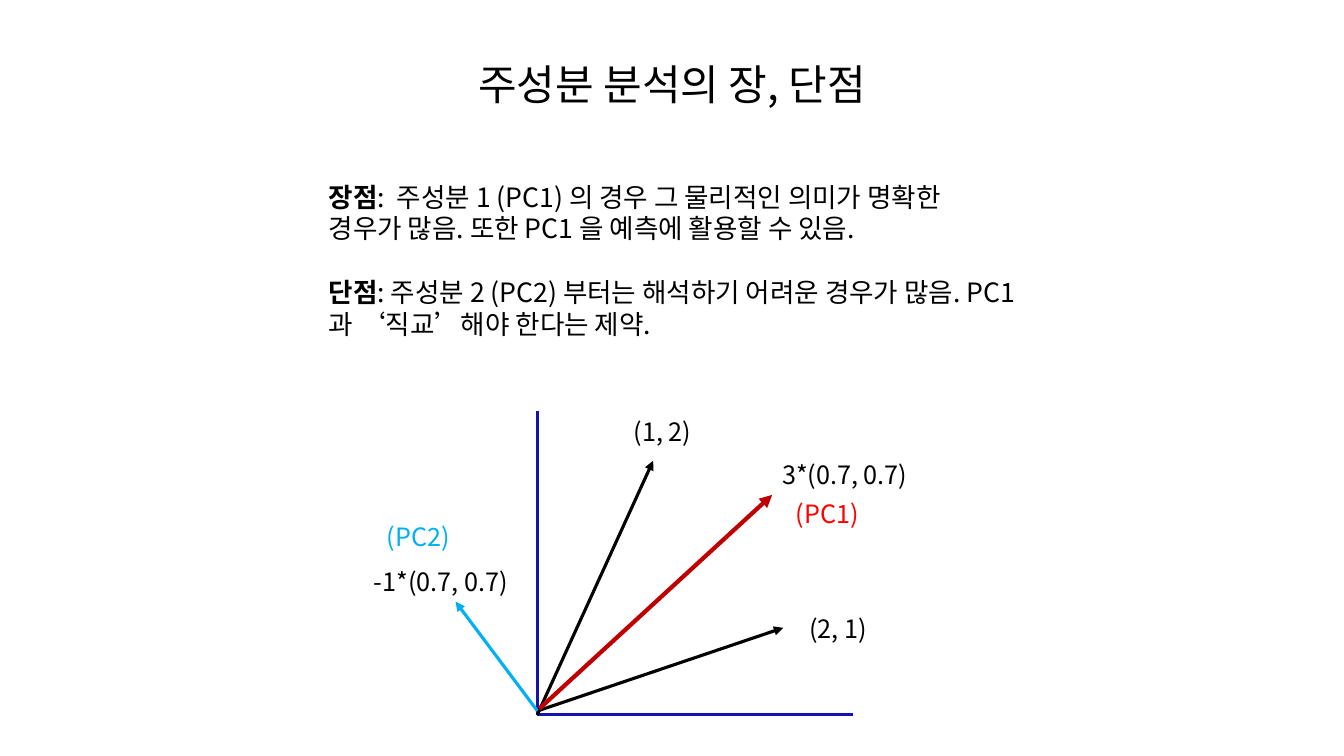
from lxml import etree
from pptx import Presentation
from pptx.dml.color import RGBColor
from pptx.enum.shapes import MSO_CONNECTOR
from pptx.enum.text import MSO_ANCHOR, MSO_AUTO_SIZE, PP_ALIGN
from pptx.oxml.ns import qn
from pptx.util import Cm, Pt

STRAIGHT = MSO_CONNECTOR.STRAIGHT
MIDDLE, TOP = MSO_ANCHOR.MIDDLE, MSO_ANCHOR.TOP
CENTER, LEFT = PP_ALIGN.CENTER, PP_ALIGN.LEFT
NO_FIT = MSO_AUTO_SIZE.NONE
FONT = "Noto Sans CJK KR"
BLACK, RED, DARK_RED, SKY, NAVY = "000000", "FF0000", "C00000", "00B0F0", "1313AD"


def color(value):
    return RGBColor.from_string(value)


def write(box, place, paragraphs, size, ink=BLACK, align=LEFT, anchor=TOP, gap=0):
    box.left, box.top, box.width, box.height = [Cm(length) for length in place]
    frame = box.text_frame
    frame_format = {"word_wrap": True, "auto_size": NO_FIT, "vertical_anchor": anchor}
    for name, value in frame_format.items():
        setattr(frame, name, value)
    for index, spans in enumerate(paragraphs):
        para = frame.add_paragraph() if index else frame.paragraphs[0]
        para_format = {
            "alignment": align,
            "line_spacing": Pt(size * 1.2),
            "space_before": Pt(gap if index else 0),
        }
        for name, value in para_format.items():
            setattr(para, name, value)
        for text, bold in spans:
            span = para.add_run()
            span.text = text
            span_format = {"name": FONT, "size": Pt(size), "bold": bold}
            for name, value in span_format.items():
                setattr(span.font, name, value)
            span.font.color.rgb = color(ink)
            east_asian = etree.SubElement(span.font._element, qn("a:ea"))
            east_asian.set("typeface", FONT)


deck = Presentation()
deck.slide_width, deck.slide_height = Cm(33.87), Cm(19.05)
page = deck.slides.add_slide(deck.slide_layouts[1])

title = page.shapes.title
write(title, (1.7, 0.76, 30.48, 2.7), [[("주성분 분석의 장, 단점", False)]],
      30, align=CENTER, anchor=MIDDLE)

points = [
    [("장점", True),
     (":  주성분 1 (PC1) 의 경우 그 물리적인 의미가 명확한 경우가 많음. "
      "또한 PC1 을 예측에 활용할 수 있음.", False)],
    [("단점", True),
     (": 주성분 2 (PC2) 부터는 해석하기 어려운 경우가 많음. "
      "PC1 과 ‘직교’해야 한다는 제약.", False)],
]
body = page.placeholders[1]
write(body, (8.03, 4.42, 17.83, 4.32), points, 19, gap=22.8)
for para in body.text_frame.paragraphs:
    properties = para._p.get_or_add_pPr()
    properties.set("marL", "0")
    properties.set("indent", "0")
    etree.SubElement(properties, qn("a:buNone"))

origin = (13.54, 18.01)
lines = [
    (origin, (13.54, 10.36), NAVY, 2.25, False),
    (origin, (21.49, 18.01), NAVY, 2.25, False),
    (origin, (16.46, 11.61), BLACK, 2.25, True),
    ((13.56, 17.91), (19.74, 15.82), BLACK, 2.25, True),
    ((13.59, 17.86), (19.46, 12.47), DARK_RED, 3, True),
    ((13.54, 17.91), (11.48, 15.16), SKY, 2.25, True),
]
for start, end, ink, weight, has_head in lines:
    line = page.shapes.add_connector(
        STRAIGHT, *[Cm(length) for length in start + end])
    line.line.color.rgb = color(ink)
    line.line.width = Pt(weight)
    if has_head:
        head = etree.SubElement(line.line._get_or_add_ln(), qn("a:tailEnd"))
        head.set("type", "triangle")
    etree.SubElement(line._element.spPr, qn("a:effectLst"))

labels = [
    ("(PC1)", 19.81, 12.42, 2.92, RED),
    ("(2, 1)", 20.14, 15.34, 2.11, BLACK),
    ("(1, 2)", 15.72, 10.36, 2.11, BLACK),
    ("3*(0.7, 0.7)", 19.46, 11.46, 4, BLACK),
    ("-1*(0.7, 0.7)", 9.17, 14.15, 4.2, BLACK),
    ("(PC2)", 9.5, 13, 2.21, SKY),
]
for text, left, top, width, ink in labels:
    place = (left, top, width, 1)
    box = page.shapes.add_textbox(*[Cm(length) for length in place])
    write(box, place, [[(text, False)]], 18, ink)

deck.save("out.pptx")
